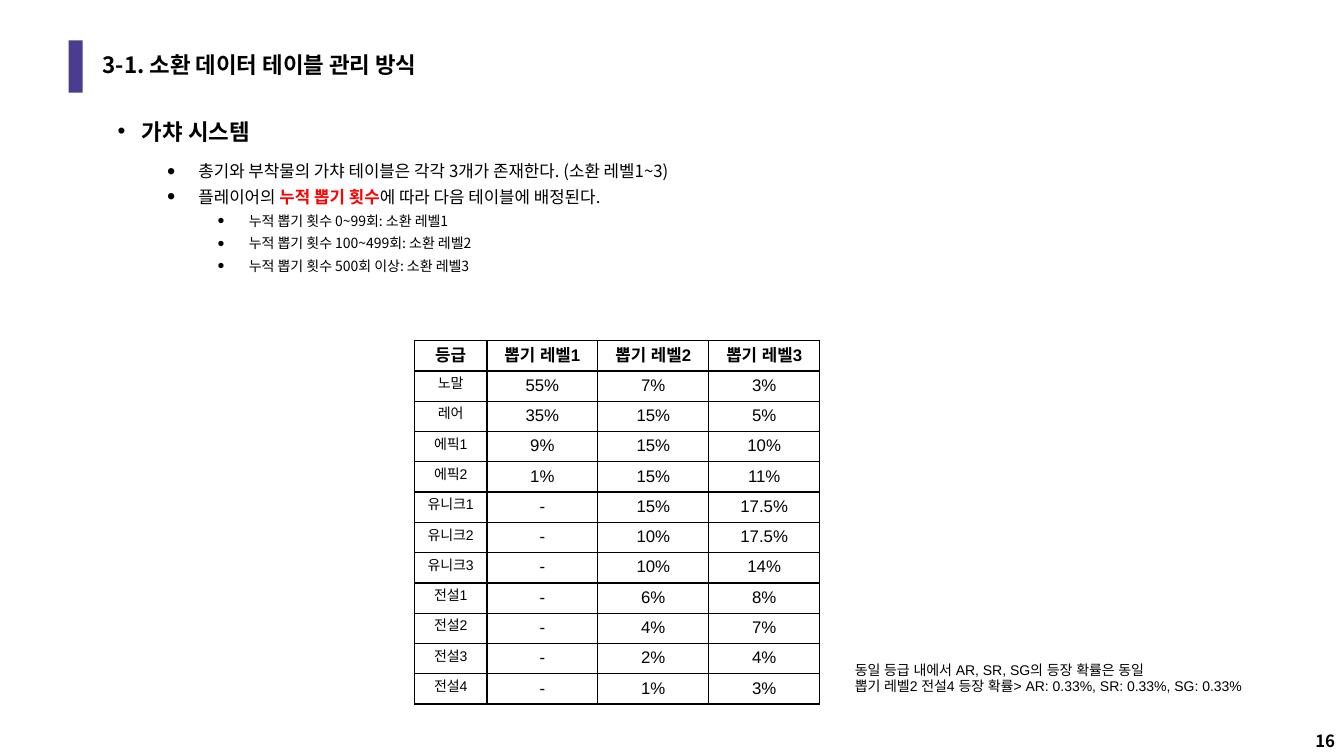
from lxml.etree import SubElement
from pptx import Presentation
from pptx.dml.color import RGBColor
from pptx.enum.shapes import MSO_SHAPE
from pptx.enum.text import MSO_ANCHOR, PP_ALIGN
from pptx.oxml.ns import qn
from pptx.util import Inches, Pt

INK = {"black": "000000", "red": "FF0000", "violet": "4B3C8F"}
NOTO = "Noto Sans CJK KR"

deck = Presentation()
deck.slide_width, deck.slide_height = Inches(13.33), Inches(7.5)
slide = deck.slides.add_slide(deck.slide_layouts[6])


def add_box(left, top, width, height, anchor=MSO_ANCHOR.TOP, wrap=True):
    box = slide.shapes.add_textbox(Inches(left), Inches(top), Inches(width), Inches(height))
    frame = box.text_frame
    frame.word_wrap = wrap
    frame.vertical_anchor = anchor
    return frame


def set_font(para, size, face=NOTO, bold=False):
    font = para.font
    font.size, font.bold, font.name = Pt(size), bold, face
    font.color.rgb = RGBColor.from_string(INK["black"])
    props = para._p.pPr.find(qn("a:defRPr"))
    SubElement(props, qn("a:ea"), typeface=face)


# Accent bar
bar = slide.shapes.add_shape(MSO_SHAPE.RECTANGLE, Inches(0.68), Inches(0.4), Inches(0.14), Inches(0.52))
bar.shadow.inherit = False
bar.fill.solid()
bar.fill.fore_color.rgb = RGBColor.from_string(INK["violet"])
bar.line.fill.background()

# Title and page number
title = add_box(0.92, 0.4, 11.5, 0.52, MSO_ANCHOR.MIDDLE).paragraphs[0]
title.text = "3-1. 소환 데이터 테이블 관리 방식"
title.line_spacing = 0.9
set_font(title, 16, bold=True)

page = add_box(12.42, 7.1, 0.92, 0.4, MSO_ANCHOR.BOTTOM).paragraphs[0]
page.text = "16"
page.alignment = PP_ALIGN.RIGHT
set_font(page, 12, bold=True)

# Bullets: level, space before, runs; every second run is stressed
points = [
    (0, 0, ["가챠 시스템"]),
    (1, 11.5, ["총기와 부착물의 가챠 테이블은 각각 3개가 존재한다. (소환 레벨1~3)"]),
    (1, 4, ["플레이어의 ", "누적 뽑기 횟수", "에 따라 다음 테이블에 배정된다."]),
    (2, 4, ["누적 뽑기 횟수 0~99회: 소환 레벨1"]),
    (2, 4, ["누적 뽑기 횟수 100~499회: 소환 레벨2"]),
    (2, 4, ["누적 뽑기 횟수 500회 이상: 소환 레벨3"]),
]
# Per level: text size, left margin, hanging indent, bullet percent
levels = [(16, 0.25, 0.24, 100), (12, 0.81, 0.31, 140), (10, 1.31, 0.31, 140)]

body = add_box(1.06, 1.04, 11.5, 2.21)
for i, (level, gap, parts) in enumerate(points):
    para = body.add_paragraph() if i else body.paragraphs[0]
    size, margin, hang, scale = levels[level]
    para.level = level
    para.line_spacing = 1.0 if level else 1.3
    para.space_before = Pt(gap)
    props = para._p.get_or_add_pPr()
    props.set("marL", str(Inches(margin)))
    props.set("indent", str(-Inches(hang)))
    tint = SubElement(props, qn("a:buClr"))
    SubElement(tint, qn("a:srgbClr"), val=INK["black"])
    SubElement(props, qn("a:buSzPct"), val=str(scale * 1000))
    SubElement(props, qn("a:buFont"), typeface="Arial")
    SubElement(props, qn("a:buChar"), char="•")
    set_font(para, size, bold=level == 0)
    for j, text in enumerate(parts):
        run = para.add_run()
        run.text = text
        if j % 2:
            run.font.bold = True
            run.font.color.rgb = RGBColor.from_string(INK["red"])

# Odds table
rows = [
    ("등급", "뽑기 레벨1", "뽑기 레벨2", "뽑기 레벨3"),
    ("노말", "55%", "7%", "3%"),
    ("레어", "35%", "15%", "5%"),
    ("에픽1", "9%", "15%", "10%"),
    ("에픽2", "1%", "15%", "11%"),
    ("유니크1", "-", "15%", "17.5%"),
    ("유니크2", "-", "10%", "17.5%"),
    ("유니크3", "-", "10%", "14%"),
    ("전설1", "-", "6%", "8%"),
    ("전설2", "-", "4%", "7%"),
    ("전설3", "-", "2%", "4%"),
    ("전설4", "-", "1%", "3%"),
]
odds = slide.shapes.add_table(len(rows), 4, Inches(4.11), Inches(3.38), Inches(4.02), Inches(3.6)).table
for col, width in zip(odds.columns, (0.72, 1.1, 1.1, 1.1)):
    col.width = Inches(width)
for r, row in enumerate(rows):
    odds.rows[r].height = Inches(0.3)
    for c, text in enumerate(row):
        cell = odds.cell(r, c)
        props = cell._tc.get_or_add_tcPr()
        for side in ("lnL", "lnR", "lnT", "lnB"):
            edge = SubElement(props, qn(f"a:{side}"), w=str(Pt(1)))
            fill = SubElement(edge, qn("a:solidFill"))
            SubElement(fill, qn("a:srgbClr"), val=INK["black"])
        cell.fill.background()
        para = cell.text_frame.paragraphs[0]
        para.text = text
        para.alignment = PP_ALIGN.CENTER
        set_font(para, 10 if r and c == 0 else 12, "Arial", r == 0)

# Side note
note = add_box(8.38, 6.51, 4.27, 0.44, wrap=False)
note.text = (
    "동일 등급 내에서 AR, SR, SG의 등장 확률은 동일\n"
    "뽑기 레벨2 전설4 등장 확률> AR: 0.33%, SR: 0.33%, SG: 0.33%"
)
for para in note.paragraphs:
    set_font(para, 10, "Arial")

deck.save("out.pptx")
